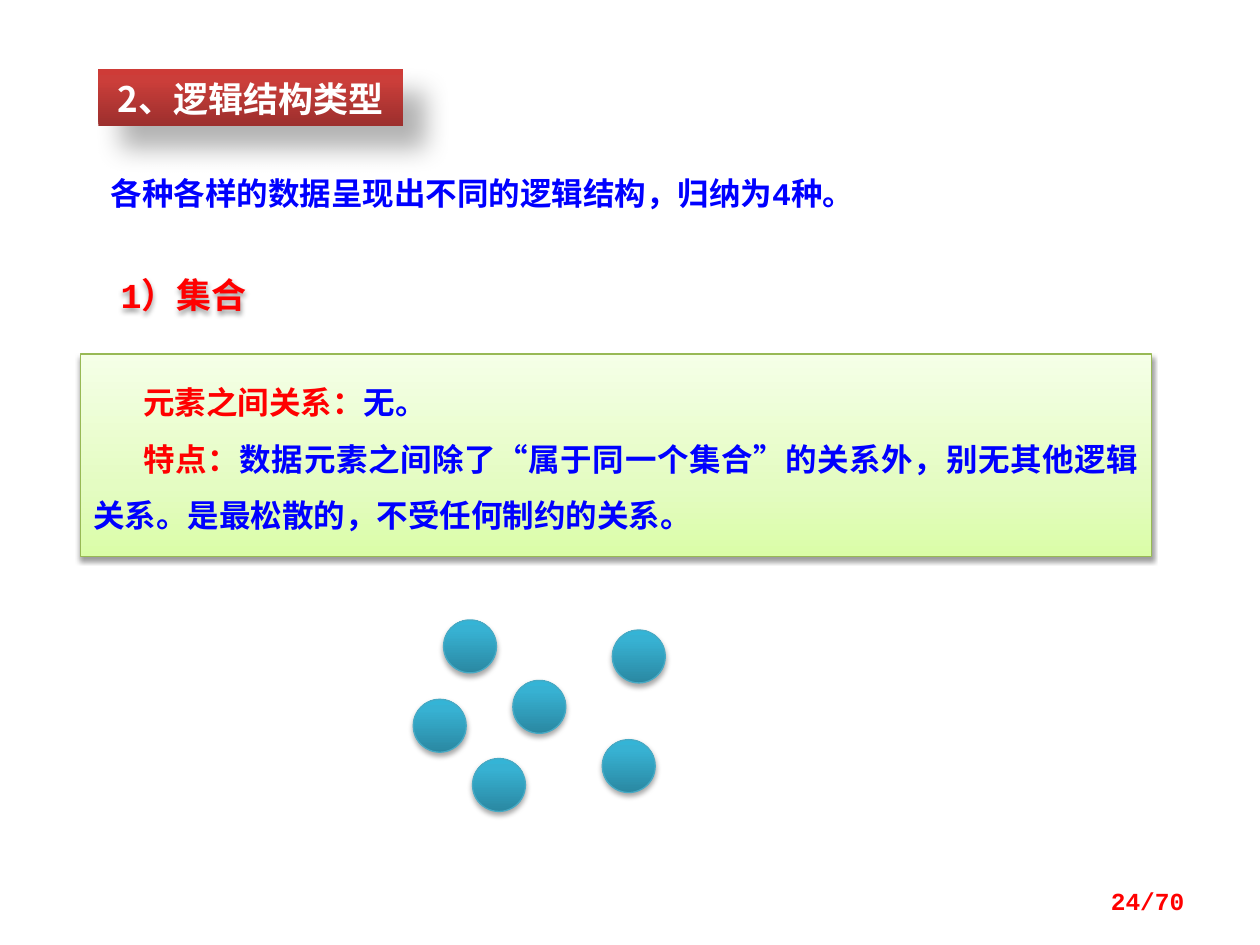
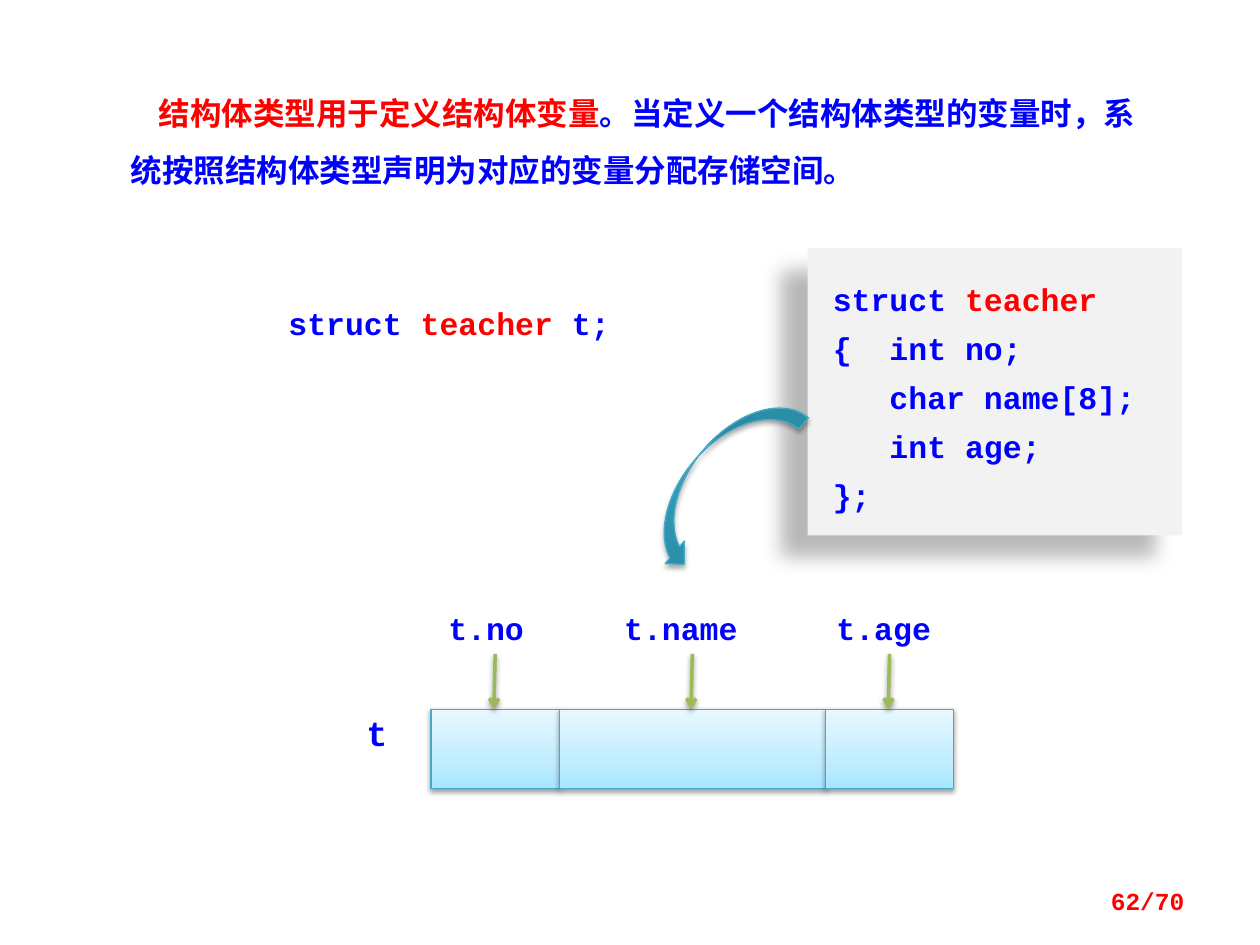
from dataclasses import dataclass

from lxml.etree import SubElement
from pptx import Presentation
from pptx.dml.color import RGBColor
from pptx.enum.shapes import MSO_CONNECTOR as Link, MSO_SHAPE as Preset
from pptx.enum.text import MSO_ANCHOR as Anchor, MSO_AUTO_SIZE as AutoSize, PP_ALIGN as Align
from pptx.oxml import parse_xml
from pptx.oxml.ns import nsdecls, qn
from pptx.util import Inches, Pt


@dataclass(frozen=True)
class Theme:
    blue: str = "0000FF"
    red: str = "FF0000"
    white: str = "FFFFFF"
    code_panel: str = "F2F2F2"
    green_line: str = "98B955"
    teal_line: str = "46AAC5"
    arrow_green: str = "9BBB59"
    # Gradients run from bottom to top: (position in percent, colour)
    green_fade: tuple = ((0, "DAFDA7"), (35, "E4FCC2"), (100, "F5FFE7"))
    teal_fade: tuple = ((0, "2A88A2"), (80, "37B1D2"), (100, "34B4D6"))
    red_fade: tuple = ((0, "9C2F2D"), (80, "CB3E3A"), (100, "CE3B37"))
    sky_fade: tuple = ((0, "A7E6FF"), (35, "C1EDFF"), (100, "E7F8FF"))
    # Shadows: opacity in percent, blur and distance in points, direction in degrees
    soft_shadow: tuple = (38, 3.1, 1.6, 90)
    raised_shadow: tuple = (35, 3.1, 1.8, 90)
    title_shadow: tuple = (30, 15, 18, 45)
    panel_shadow: tuple = (28, 11.8, 19.7, 141)
    mono: str = "Courier New"
    sans: str = "Noto Sans CJK SC"
    heading: int = 20
    body: int = 18
    footer: int = 14


theme = Theme()


def write_text(shape, *paragraphs, size=theme.body, color=theme.blue, font=theme.mono,
               align=Align.LEFT, anchor=Anchor.TOP, spacing=None, indent=0,
               insets=(0.1, 0.05, 0.1, 0.05), grow=True):
    """Fill a shape; a paragraph is a string or a list of (text, colour) runs."""
    frame = shape.text_frame
    frame.word_wrap = True
    frame.auto_size = AutoSize.SHAPE_TO_FIT_TEXT if grow else AutoSize.NONE
    frame.vertical_anchor = anchor
    (frame.margin_left, frame.margin_top,
     frame.margin_right, frame.margin_bottom) = map(Inches, insets)
    for number, content in enumerate(paragraphs):
        paragraph = frame.add_paragraph() if number else frame.paragraphs[0]
        paragraph.alignment = align
        if spacing:
            paragraph.line_spacing = spacing
        if indent:
            paragraph._p.get_or_add_pPr().set("indent", str(Inches(indent)))
        for text, tint in [(content, color)] if isinstance(content, str) else content:
            run = paragraph.add_run()
            run.text = text
            run.font.name = font
            run.font.size = Pt(size)
            run.font.bold = True
            run.font.color.rgb = RGBColor.from_string(tint)
            SubElement(run._r.rPr, qn("a:ea"), typeface=theme.sans)


def dress(shape, shadow, fade=None, line=None, width=0.75):
    """Give a shape its gradient, outline and shadow."""
    properties = shape._element.spPr
    if fade:
        stops = "".join(f'<a:gs pos="{place * 1000}"><a:srgbClr val="{color}"/></a:gs>'
                        for place, color in fade)
        properties.insert(2, parse_xml(
            f'<a:gradFill {nsdecls("a")} rotWithShape="1"><a:gsLst>{stops}</a:gsLst>'
            '<a:lin ang="16200000" scaled="0"/></a:gradFill>'))
    if line:
        shape.line.color.rgb = RGBColor.from_string(line)
        shape.line.width = Pt(width)
    opacity, blur, distance, direction = shadow
    properties.append(parse_xml(
        f'<a:effectLst {nsdecls("a")}><a:outerShdw blurRad="{Pt(blur)}" dist="{Pt(distance)}" '
        f'dir="{direction * 60000}" algn="ctr" rotWithShape="0"><a:srgbClr val="000000">'
        f'<a:alpha val="{opacity * 1000}"/></a:srgbClr></a:outerShdw></a:effectLst>'))


deck = Presentation()
deck.slide_width, deck.slide_height = Inches(10), Inches(7.5)
blank = deck.slide_layouts[6]
set_slide, struct_slide = deck.slides.add_slide(blank), deck.slides.add_slide(blank)

# Slide 1: sets
shapes = set_slide.shapes

definition = shapes.add_shape(Preset.RECTANGLE, *map(Inches, (0.64, 2.81, 8.5, 1.61)))
dress(definition, theme.soft_shadow, theme.green_fade, theme.green_line)
write_text(definition,
           [("元素之间关系：", theme.red), ("无。", theme.blue)],
           [("特点：", theme.red),
            ("数据元素之间除了“属于同一个集合”的关系外，别无其他逻辑关系。"
             "是最松散的，不受任何制约的关系。", theme.blue)],
           font=theme.sans, align=Align.JUSTIFY, spacing=1.5, indent=0.4,
           insets=(0.1, 0.08, 0.1, 0.16))

for left, top in ((3.28, 5.55), (3.52, 4.92), (4.07, 5.4),
                  (3.75, 6.02), (4.86, 5), (4.78, 5.87)):
    element = shapes.add_shape(Preset.OVAL, *map(Inches, (left, top, 0.42, 0.42)))
    dress(element, theme.raised_shadow, theme.teal_fade, theme.teal_line)

intro = shapes.add_textbox(*map(Inches, (0.78, 1.33, 6.88, 0.4)))
write_text(intro, "各种各样的数据呈现出不同的逻辑结构，归纳为4种。")

title = shapes.add_shape(Preset.RECTANGLE, *map(Inches, (0.78, 0.55, 2.42, 0.45)))
title.line.fill.background()
dress(title, theme.title_shadow, theme.red_fade)
write_text(title, "2、逻辑结构类型", size=theme.heading, color=theme.white, font=theme.sans,
           align=Align.CENTER, spacing=Pt(20), insets=(0.1, 0.12, 0.1, 0.05))

subtitle = shapes.add_textbox(*map(Inches, (0.86, 2.19, 1.41, 0.37)))
dress(subtitle, theme.soft_shadow)
write_text(subtitle, "1）集合", size=theme.heading, color=theme.red, spacing=0.8)

# Slide 2: structure variables
shapes = struct_slide.shapes

usage = shapes.add_textbox(*map(Inches, (0.94, 0.55, 8.28, 0.94)))
write_text(usage,
           [("结构体类型用于定义结构体变量", theme.red),
            ("。当定义一个结构体类型的变量时，系统按照结构体类型声明为对应的变量分配存储空间。",
             theme.blue)],
           font=theme.sans, spacing=1.5, indent=0.22)

declaration = shapes.add_textbox(*map(Inches, (2.19, 2.42, 3.05, 0.35)))
write_text(declaration,
           [("struct ", theme.blue), ("teacher", theme.red), (" t;", theme.blue)],
           spacing=0.8)

struct_code = shapes.add_shape(Preset.RECTANGLE, *map(Inches, (6.41, 1.97, 2.97, 2.28)))
struct_code.fill.solid()
struct_code.fill.fore_color.rgb = RGBColor.from_string(theme.code_panel)
struct_code.line.fill.background()
dress(struct_code, theme.panel_shadow)
write_text(struct_code,
           [("struct ", theme.blue), ("teacher", theme.red)],
           "{  int no;", "   char name[8];", "   int age;", "};",
           spacing=Pt(28), insets=(0.2, 0.16, 0.1, 0.16))

# Memory cells side by side, each with its member name and an arrow above
cell_left, cell_top = 3.42, 5.63
for member, cell_width, label_width in (("t.no", 1.02, 0.94),
                                        ("t.name", 2.11, 1.28),
                                        ("t.age", 1.02, 1.04)):
    center = cell_left + cell_width / 2
    cell = shapes.add_shape(Preset.RECTANGLE,
                            *map(Inches, (cell_left, cell_top, cell_width, 0.63)))
    dress(cell, theme.soft_shadow, theme.sky_fade, theme.teal_line)

    label = shapes.add_textbox(
        *map(Inches, (center - label_width / 2, 4.84, label_width, 0.34)))
    write_text(label, member, spacing=0.8)

    pointer = shapes.add_connector(
        Link.STRAIGHT, *map(Inches, (center, 5.19, center - 0.01, cell_top)))
    dress(pointer, theme.soft_shadow, line=theme.arrow_green, width=2)
    SubElement(pointer.line._get_or_add_ln(), qn("a:tailEnd"), type="arrow")
    cell_left += cell_width

variable = shapes.add_textbox(*map(Inches, (2.81, 5.66, 0.47, 0.38)))
write_text(variable, "t", size=theme.heading, spacing=0.8)

allocation = shapes.add_shape(Preset.CURVED_RIGHT_ARROW,
                              *map(Inches, (5.47, 2.97, 0.47, 1.64)))
allocation.rotation = 40.3
dress(allocation, theme.raised_shadow, theme.teal_fade, theme.teal_line)

for slide, page in ((set_slide, 24), (struct_slide, 62)):
    page_number = slide.shapes.add_textbox(*map(Inches, (7.17, 6.95, 2.33, 0.4)))
    write_text(page_number, f"{page}/70", size=theme.footer, color=theme.red,
               align=Align.RIGHT, anchor=Anchor.MIDDLE, grow=False)

deck.save("out.pptx")
